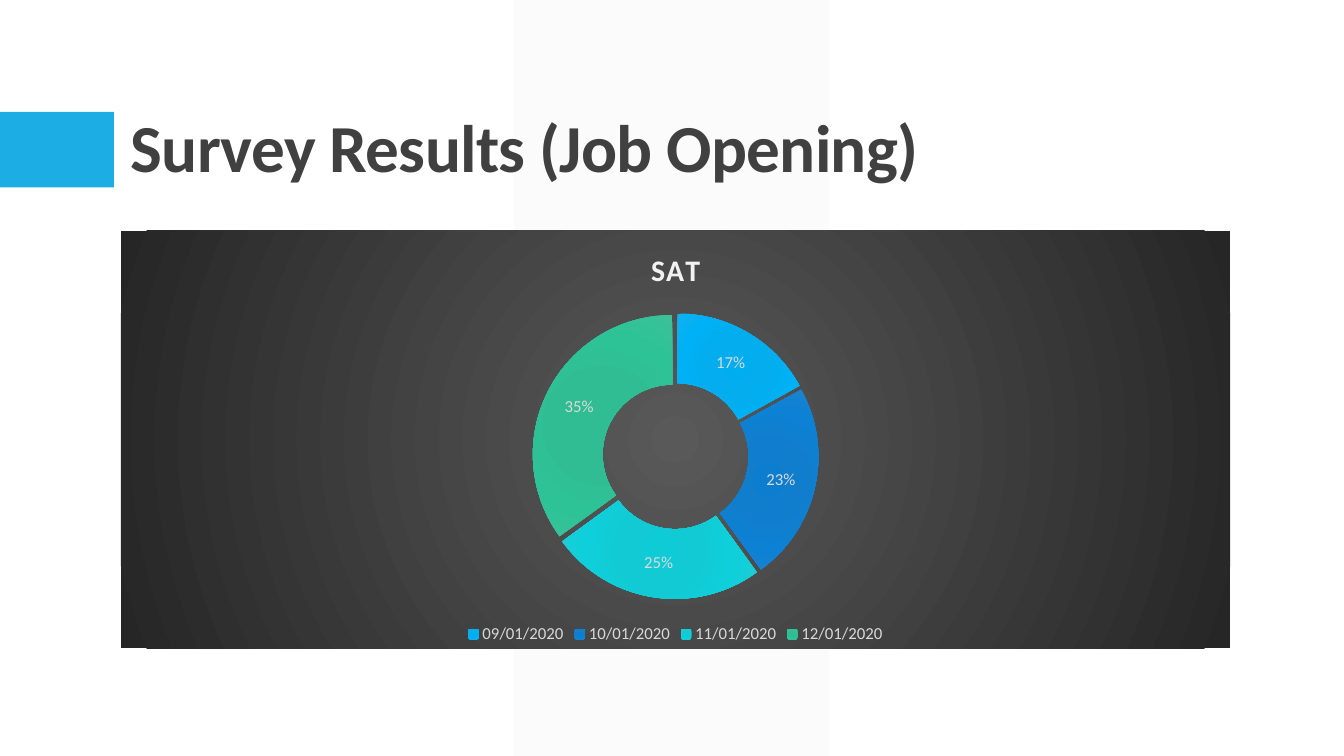
from lxml.etree import SubElement as Sub
from pptx import Presentation
from pptx.chart.data import CategoryChartData as Data
from pptx.dml.color import RGBColor
from pptx.enum.chart import XL_CHART_TYPE as Kind, XL_LEGEND_POSITION as Side
from pptx.enum.shapes import MSO_SHAPE as Shape
from pptx.enum.text import MSO_ANCHOR as Anchor
from pptx.oxml import parse_xml
from pptx.oxml.ns import nsdecls, qn
from pptx.util import Inches, Pt


def rgb(code):
    """Turn a hex string into a colour."""
    return RGBColor.from_string(code)


def grad(stops, focus):
    """Build a circular gradient from (percent, hex) stops."""
    fill = parse_xml(f'<a:gradFill {nsdecls("a")}/>')
    row = Sub(fill, qn("a:gsLst"))
    for pos, code in stops:
        stop = Sub(row, qn("a:gs"), pos=str(pos * 1000))
        Sub(stop, qn("a:srgbClr"), val=code)
    way = Sub(fill, qn("a:path"), path="circle")
    Sub(way, qn("a:fillToRect"), {side: str(focus * 1000) for side in "ltrb"})
    return fill


class Deck:
    """Hold the style and the current slide."""

    face = "Calibri"
    pale = "D9D9D9"

    def __init__(self):
        """Open a wide deck with one blank slide."""
        self.show = Presentation()
        self.show.slide_width, self.show.slide_height = Inches(13.33), Inches(7.5)
        self.slide = self.show.slides.add_slide(self.show.slide_layouts[6])

    def style(self, font, size, code, bold=False):
        """Set face, size, colour and weight on a font."""
        font.name, font.size, font.bold = self.face, Pt(size), bold
        font.color.rgb = rgb(code)

    def block(self, kind, box, code, alpha=100):
        """Add a plain filled shape."""
        item = self.slide.shapes.add_shape(kind, *map(Inches, box))
        item.shadow.inherit = False
        item.fill.solid()
        item.fill.fore_color.rgb = rgb(code)
        item.line.fill.background()
        if alpha < 100:
            tint = item.fill._xPr.find(".//" + qn("a:srgbClr"))
            Sub(tint, qn("a:alpha"), val=str(alpha * 1000))
        return item

    def title(self, box, text):
        """Add the slide title, set on its bottom edge."""
        frame = self.slide.shapes.add_textbox(*map(Inches, box)).text_frame
        frame.word_wrap = True
        frame.vertical_anchor = Anchor.BOTTOM
        para = frame.paragraphs[0]
        para.line_spacing = 0.9
        run = para.add_run()
        run.text = text
        self.style(para.font, 48, "404040", True)
        run._r.get_or_add_rPr().set("spc", "-50")

    def ring(self, box, name, shares, tints):
        """Add a doughnut chart on a dark radial ground."""
        data = Data()
        data.categories = list(shares)
        data.add_series(name, list(shares.values()))
        chart = self.slide.shapes.add_chart(
            Kind.DOUGHNUT_EXPLODED, *map(Inches, box), data).chart
        self.style(chart.font, 12, self.pale)
        root = chart.element
        ground = parse_xml(f'<c:spPr {nsdecls("c", "a")}/>')
        ground.append(grad([(0, "595959"), (100, "262626")], 50))
        Sub(Sub(ground, qn("a:ln")), qn("a:noFill"))
        root.find(qn("c:chart")).addnext(ground)

        run = chart.chart_title.text_frame.paragraphs[0].add_run()
        run.text = name
        self.style(run.font, 21.3, "F2F2F2", True)
        run._r.get_or_add_rPr().set("spc", "100")
        chart.has_legend = True
        chart.legend.position = Side.BOTTOM
        chart.legend.include_in_layout = False
        self.style(chart.legend.font, 12, self.pale)

        plot = chart.plots[0]
        plot.vary_by_categories = True
        plot.has_data_labels = True
        labels = plot.data_labels
        labels.show_percentage, labels.show_value = True, False
        labels.number_format, labels.number_format_is_linked = "0%", False
        self.style(labels.font, 12, self.pale)
        for spot, codes in enumerate(tints):
            look = plot.series[0].points[spot].format
            look.fill.solid()
            look.line.fill.background()
            solid = root.xpath(".//c:dPt/c:spPr/a:solidFill")[0]
            solid.getparent().replace(solid, grad(zip((0, 34, 70, 100), codes), 100))
        for old in root.xpath(".//c:explosion"):
            old.getparent().remove(old)
        gap = parse_xml(f'<c:explosion {nsdecls("c")} val="5"/>')
        root.xpath(".//c:dPt")[0].addprevious(gap)
        root.xpath(".//c:holeSize")[0].set("val", "75")


deck = Deck()
band = deck.block(Shape.PARALLELOGRAM, (5.1, 0, 3.12, 7.5), "F2F2F2", 30)
band.adjustments[0] = 0
deck.block(Shape.RECTANGLE, (0, 1.11, 1.13, 0.75), "1CADE4")
deck.title((1.2, 0.31, 11, 1.59), "Survey Results (Job Opening)")
deck.ring(
    (1.2, 2.29, 11, 4.14), "SAT",
    {"09/01/2020": 17, "10/01/2020": 23, "11/01/2020": 25, "12/01/2020": 35},
    [("00ADEF", "03ADEE", "00B1F5", "12B1EE"),
     ("0D7ECF", "117ECD", "0D81D4", "1E84CE"),
     ("0ECBD5", "12CAD3", "0FD0DA", "20CBD4"),
     ("2DBE94", "30BD94", "2EC397", "3CC09A")])
deck.show.save("out.pptx")
